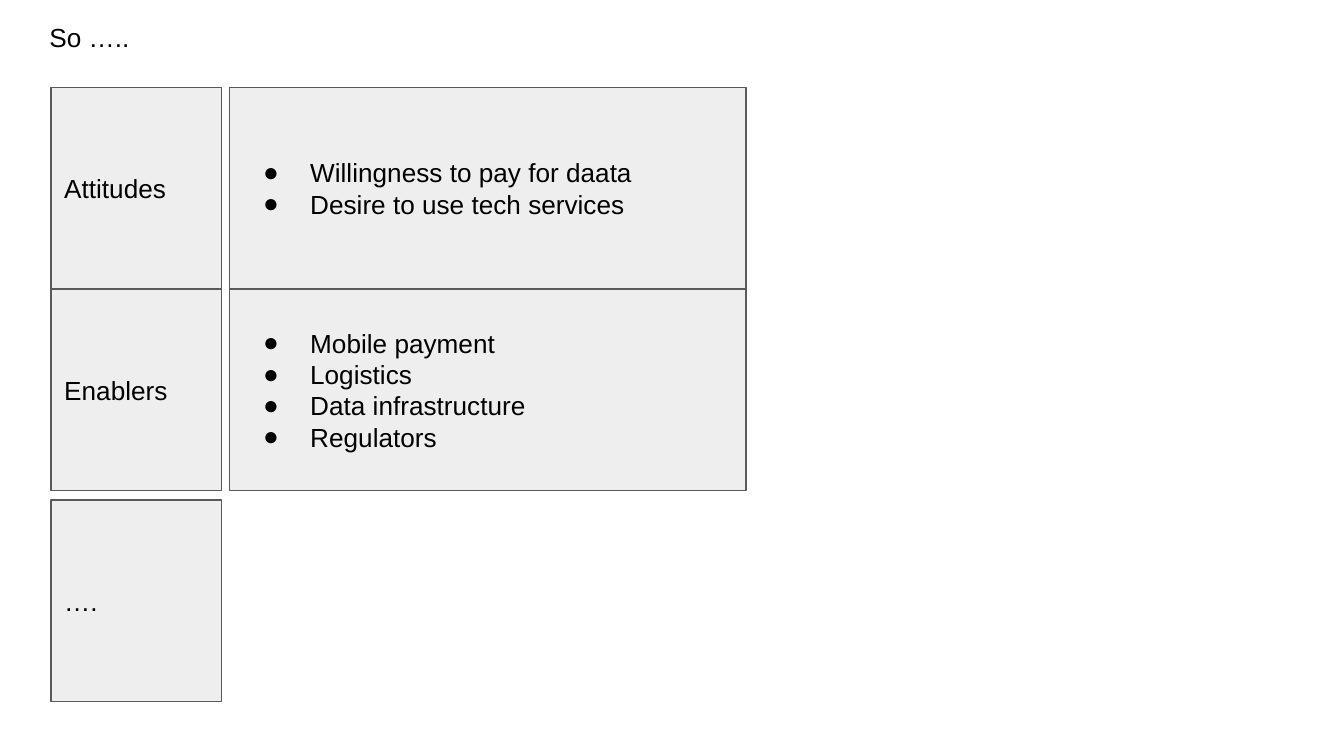
from lxml import etree
from pptx import Presentation
from pptx.dml.color import RGBColor
from pptx.enum.shapes import MSO_SHAPE
from pptx.enum.text import MSO_ANCHOR, PP_ALIGN
from pptx.oxml.ns import qn
from pptx.util import Inches, Pt

COLORS = {"panel": "EEEEEE", "border": "595959", "text": "000000"}
SLIDE_WIDTH = 10
SLIDE_HEIGHT = SLIDE_WIDTH * 9 / 16
LEFT, LABEL_WIDTH, DETAIL_WIDTH, COLUMN_GAP = 0.38, 1.27, 3.84, 0.06
ROW_HEIGHT = 1.5
ROWS = [
    (0.65, "Attitudes", ["Willingness to pay for daata", "Desire to use tech services"]),
    (2.15, "Enablers", ["Mobile payment", "Logistics", "Data infrastructure", "Regulators"]),
    (3.72, "….", []),
]


def rgb(name):
    return RGBColor.from_string(COLORS[name])


def add_bullet(paragraph):
    properties = paragraph._p.get_or_add_pPr()
    properties.set("marL", str(Inches(0.5)))
    properties.set("indent", str(Inches(-0.35)))
    bullet_color = etree.Element(qn("a:buClr"))
    etree.SubElement(bullet_color, qn("a:srgbClr"), val=COLORS["text"])
    bullet_font = etree.Element(qn("a:buFont"), typeface="Arial")
    bullet_mark = etree.Element(qn("a:buChar"), char="●")
    for position, part in enumerate((bullet_color, bullet_font, bullet_mark)):
        properties.insert(position, part)


def write_text(frame, lines, anchor, bulleted=False):
    frame.word_wrap = True
    frame.vertical_anchor = anchor
    frame.margin_left = frame.margin_right = Inches(0.1)
    frame.margin_top = frame.margin_bottom = Inches(0.1)
    frame.text = "\n".join(lines)
    for paragraph in frame.paragraphs:
        paragraph.alignment = PP_ALIGN.LEFT
        paragraph.font.name = "Arial"
        paragraph.font.size = Pt(14)
        paragraph.font.color.rgb = rgb("text")
        if bulleted:
            add_bullet(paragraph)


def add_heading(slide, left, top, width, height):
    heading = slide.shapes.add_textbox(Inches(left), Inches(top), Inches(width), Inches(height))
    write_text(heading.text_frame, ["So ….."], MSO_ANCHOR.TOP)


def add_panel(slide, left, top, width, height, lines, bulleted=False):
    panel = slide.shapes.add_shape(
        MSO_SHAPE.RECTANGLE, Inches(left), Inches(top), Inches(width), Inches(height))
    panel.shadow.inherit = False
    panel.fill.solid()
    panel.fill.fore_color.rgb = rgb("panel")
    panel.line.color.rgb = rgb("border")
    panel.line.width = Pt(0.75)
    write_text(panel.text_frame, lines, MSO_ANCHOR.MIDDLE, bulleted)


def add_row(slide, left, top, height, label, details):
    add_panel(slide, left, top, LABEL_WIDTH, height, [label])
    if details:
        detail_left = left + LABEL_WIDTH + COLUMN_GAP
        add_panel(slide, detail_left, top, DETAIL_WIDTH, height, details, bulleted=True)


def main():
    deck = Presentation()
    deck.slide_width, deck.slide_height = Inches(SLIDE_WIDTH), Inches(SLIDE_HEIGHT)
    slide = deck.slides.add_slide(deck.slide_layouts[6])
    for top, label, details in ROWS:
        add_row(slide, LEFT, top, ROW_HEIGHT, label, details)
    add_heading(slide, 0.27, 0.06, 6.27, 0.79)
    deck.save("out.pptx")


if __name__ == "__main__":
    main()
